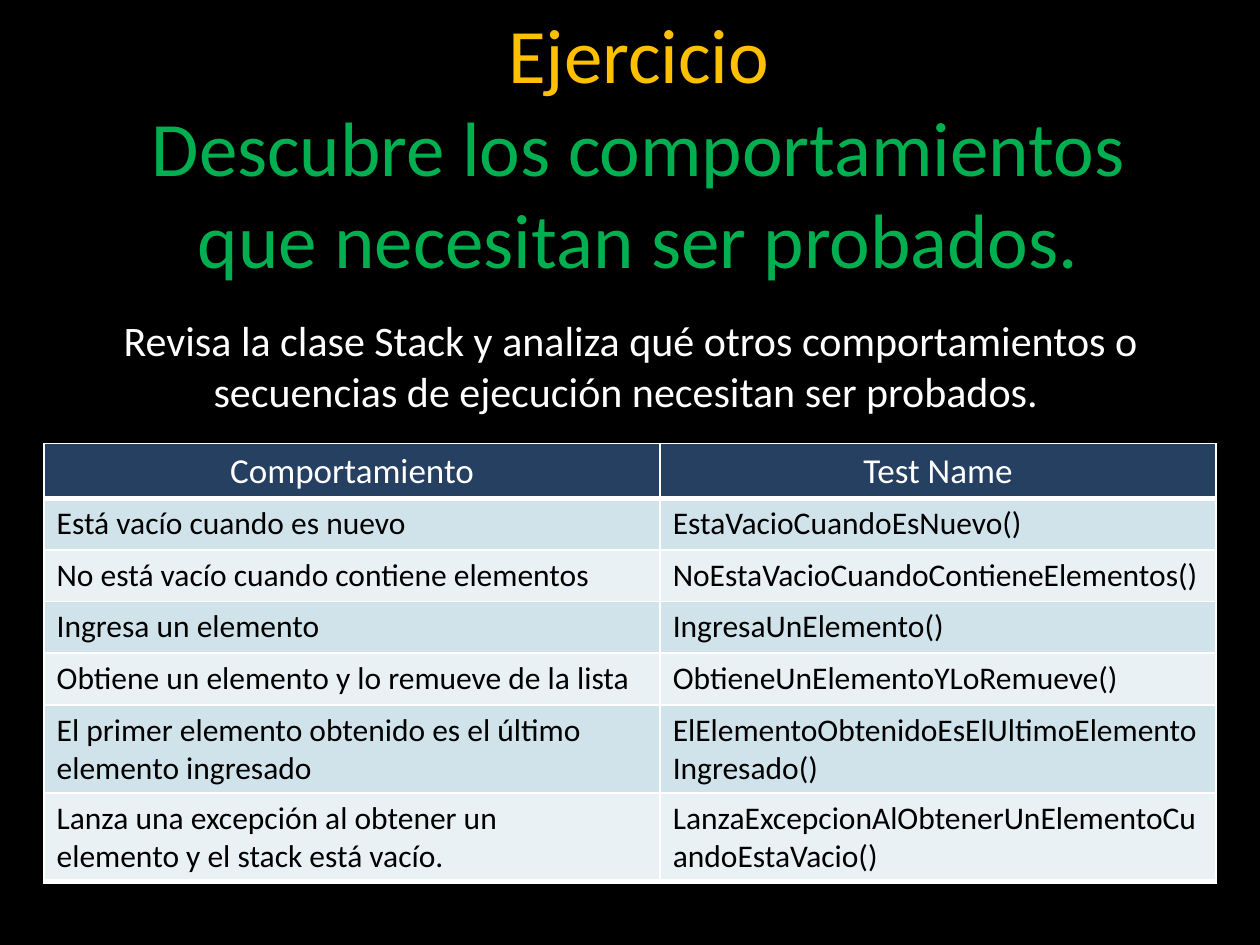
from dataclasses import dataclass

from lxml import etree
from pptx import Presentation
from pptx.dml.color import RGBColor
from pptx.enum.text import MSO_ANCHOR, MSO_AUTO_SIZE, PP_ALIGN
from pptx.oxml.ns import qn
from pptx.util import Inches, Pt

CENTER, LEFT = PP_ALIGN.CENTER, PP_ALIGN.LEFT
MIDDLE = MSO_ANCHOR.MIDDLE
NO_FIT, GROW = MSO_AUTO_SIZE.NONE, MSO_AUTO_SIZE.SHAPE_TO_FIT_TEXT
TITLE_ONLY = 5


@dataclass(frozen=True)
class Theme:
    font: str = "Calibri"
    background: str = "000000"
    heading: str = "FFC000"
    subheading: str = "00B050"
    light_text: str = "FFFFFF"
    dark_text: str = "000000"
    header_fill: str = "254061"
    bands: tuple = ("D0E3EA", "E9F1F5")
    border: str = "FFFFFF"
    thin: float = 1
    thick: float = 3
    title_size: int = 44
    intro_size: int = 24
    header_size: int = 20
    body_size: int = 18


THEME = Theme()

HEADERS = ("Comportamiento", "Test Name")
BEHAVIOURS = (
    ("Está vacío cuando es nuevo", "EstaVacioCuandoEsNuevo()"),
    ("No está vacío cuando contiene elementos",
     "NoEstaVacioCuandoContieneElementos()"),
    ("Ingresa un elemento", "IngresaUnElemento()"),
    ("Obtiene un elemento y lo remueve de la lista",
     "ObtieneUnElementoYLoRemueve()"),
    ("El primer elemento obtenido es el último\velemento ingresado",
     "ElElementoObtenidoEsElUltimoElementoIngresado()"),
    ("Lanza una excepción al obtener un\velemento y el stack está vacío.",
     "LanzaExcepcionAlObtenerUnElementoCuandoEstaVacio()"),
)
COLUMN_WIDTHS = (4.89, 4.41)
ROW_HEIGHT = 0.41


def inches(box):
    return [Inches(length) for length in box]


def format_paragraph(paragraph, size, color, align):
    paragraph.alignment = align
    font = paragraph.font
    font.name, font.size, font.bold = THEME.font, Pt(size), False
    font.color.rgb = RGBColor.from_string(color)


def place_title(slide, box):
    title = slide.shapes.title
    title.left, title.top, title.width, title.height = inches(box)
    frame = title.text_frame
    frame.auto_size, frame.vertical_anchor = NO_FIT, MIDDLE
    paragraph = frame.paragraphs[0]
    format_paragraph(paragraph, THEME.title_size, THEME.heading, CENTER)
    heading = paragraph.add_run()
    heading.text = "Ejercicio"
    paragraph.add_line_break()
    subheading = paragraph.add_run()
    subheading.text = "Descubre los comportamientos que necesitan ser probados."
    for run, color in ((heading, THEME.heading), (subheading, THEME.subheading)):
        run.font.color.rgb = RGBColor.from_string(color)


def place_instructions(slide, box):
    frame = slide.shapes.add_textbox(*inches(box)).text_frame
    frame.word_wrap, frame.auto_size = True, GROW
    # The closing space is part of the centred wording.
    frame.text = ("Revisa la clase Stack y analiza qué otros comportamientos o "
                  "secuencias de ejecución necesitan ser probados. ")
    format_paragraph(frame.paragraphs[0], THEME.intro_size, THEME.light_text, CENTER)


def add_borders(cell, bottom):
    properties = cell._tc.get_or_add_tcPr()
    widths = {"lnL": THEME.thin, "lnR": THEME.thin, "lnT": THEME.thin, "lnB": bottom}
    for side, width in widths.items():
        line = etree.SubElement(properties, qn(f"a:{side}"), w=str(Pt(width)))
        fill = etree.SubElement(line, qn("a:solidFill"))
        etree.SubElement(fill, qn("a:srgbClr"), val=THEME.border)


def fill_cell(cell, text, fill, size, color, align, bottom):
    add_borders(cell, bottom)
    cell.fill.solid()
    cell.fill.fore_color.rgb = RGBColor.from_string(fill)
    cell.text_frame.text = text
    format_paragraph(cell.text_frame.paragraphs[0], size, color, align)


def place_behaviour_table(slide, box):
    rows = (HEADERS, *BEHAVIOURS)
    table = slide.shapes.add_table(len(rows), len(HEADERS), *inches(box)).table
    for column, width in zip(table.columns, COLUMN_WIDTHS):
        column.width = Inches(width)
    for index, texts in enumerate(rows):
        table.rows[index].height = Inches(ROW_HEIGHT)
        if index == 0:
            style = (THEME.header_fill, THEME.header_size, THEME.light_text, CENTER)
        else:
            band = THEME.bands[(index - 1) % len(THEME.bands)]
            style = (band, THEME.body_size, THEME.dark_text, LEFT)
        bottom = THEME.thick if index in (0, len(rows) - 1) else THEME.thin
        for cell, text in zip(table.rows[index].cells, texts):
            fill_cell(cell, text, *style, bottom)


def build_exercise_slide(presentation):
    slide = presentation.slides.add_slide(presentation.slide_layouts[TITLE_ONLY])
    background = slide.background.fill
    background.solid()
    background.fore_color.rgb = RGBColor.from_string(THEME.background)
    place_instructions(slide, (0.2, 2.45, 9.61, 0.91))
    place_behaviour_table(slide, (0.35, 3.52, 9.3, 2.87))
    place_title(slide, (0.57, 0.53, 9, 1.25))


def main():
    presentation = Presentation()
    presentation.slide_width, presentation.slide_height = Inches(10), Inches(7.5)
    build_exercise_slide(presentation)
    presentation.save("out.pptx")


if __name__ == "__main__":
    main()
